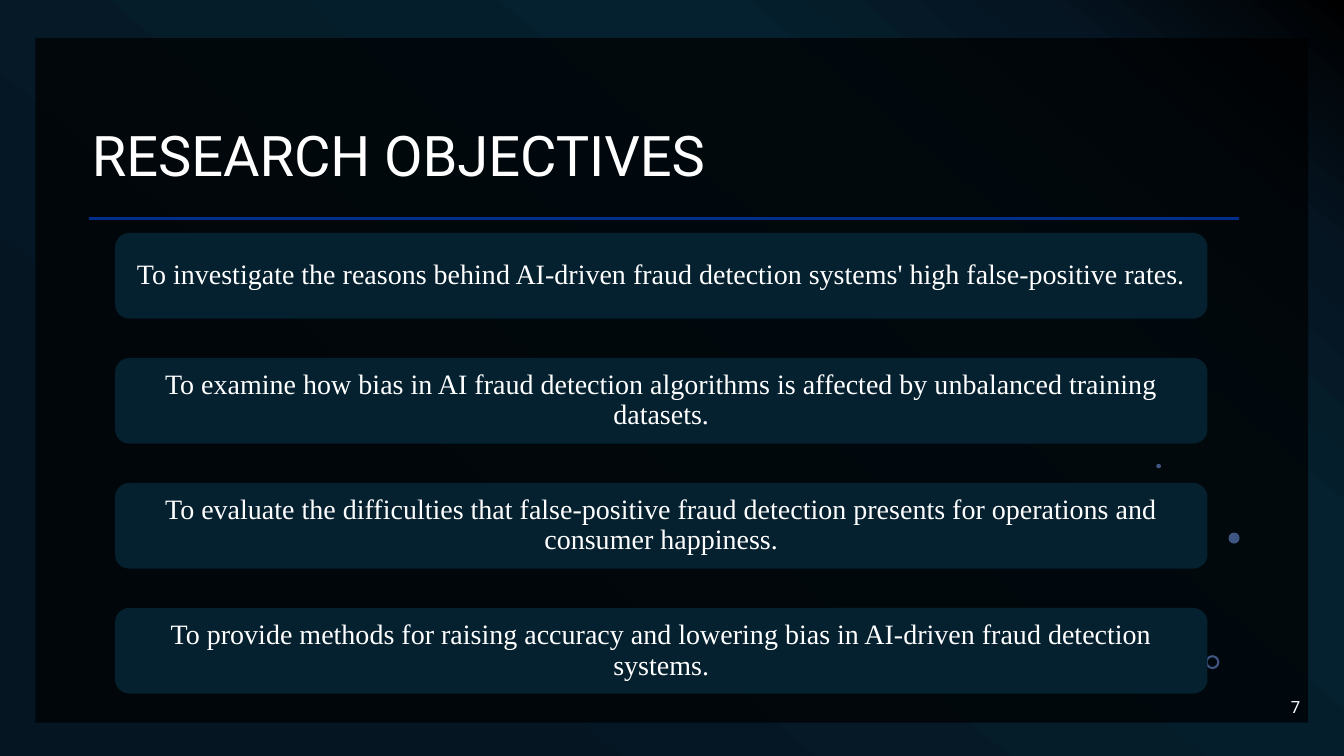
from lxml.etree import SubElement
from pptx import Presentation
from pptx.dml.color import RGBColor
from pptx.enum.shapes import MSO_CONNECTOR, MSO_SHAPE
from pptx.enum.text import MSO_ANCHOR, MSO_AUTO_SIZE, PP_ALIGN
from pptx.oxml.ns import qn
from pptx.util import Cm, Pt

OBJECTIVES = [
    "To investigate the reasons behind AI-driven fraud detection systems' high false-positive rates.",
    "To examine how bias in AI fraud detection algorithms is affected by unbalanced training datasets.",
    "To evaluate the difficulties that false-positive fraud detection presents for operations and consumer happiness.",
    "To provide methods for raising accuracy and lowering bias in AI-driven fraud detection systems.",
]
BACKDROP = [(0, "000000"), (14, "051522"), (29, "05202E"), (81, "051522"), (100, "051522")]
CARD_TOP, CARD_STEP = 5.87, 3.15


def rgb(value):
    return RGBColor.from_string(value)


class SlideBuilder:
    heading_font = "Roboto"
    body_font = "Times New Roman"
    text_color = "FFFFFF"
    card_color = "05202E"
    rule_color = "002E8A"
    dot_color = "83A7FD"

    def __init__(self, prs):
        self.slide = prs.slides.add_slide(prs.slide_layouts[5])
        self.shapes = self.slide.shapes

    def background(self, stops, angle):
        """Fill the slide with a linear gradient; angle runs clockwise."""
        fill = self.slide.background.fill
        fill.gradient()
        fill.gradient_angle = 360 - angle
        stop_list = next(self.slide.element.iter(qn("a:gsLst")))
        for old in list(stop_list):
            stop_list.remove(old)
        for position, color in stops:
            gs = SubElement(stop_list, qn("a:gs"), pos=str(position * 1000))
            SubElement(gs, qn("a:srgbClr"), val=color)

    def set_text(self, sp, text, font, size, align, anchor, spacing=None):
        tf = sp.text_frame
        tf.text = text
        tf.word_wrap = True
        tf.auto_size = MSO_AUTO_SIZE.NONE
        tf.vertical_anchor = anchor
        p = tf.paragraphs[0]
        p.alignment = align
        p.line_spacing = spacing
        for r in p.runs:
            r.font.name = font
            r.font.size = Pt(size)
            r.font.color.rgb = rgb(self.text_color)

    def shape(self, kind, left, top, width, height, color, opacity=100):
        sp = self.shapes.add_shape(kind, Cm(left), Cm(top), Cm(width), Cm(height))
        sp.shadow.inherit = False
        sp.line.fill.background()
        sp.fill.solid()
        sp.fill.fore_color.rgb = rgb(color)
        if opacity < 100:
            srgb = next(sp.element.spPr.iter(qn("a:srgbClr")))
            SubElement(srgb, qn("a:alpha"), val=str(opacity * 1000))
        return sp

    def rule(self, left, top, right):
        line = self.shapes.add_connector(MSO_CONNECTOR.STRAIGHT, Cm(left), Cm(top), Cm(right), Cm(top))
        line.line.color.rgb = rgb(self.rule_color)
        line.line.width = Pt(2)
        SubElement(line.element.spPr, qn("a:effectLst"))

    def dot(self, left, top, width, height, kind=MSO_SHAPE.OVAL):
        return self.shape(kind, left, top, width, height, self.dot_color, 49)

    def title(self, text, left, top, width, height):
        sp = self.shapes.title
        sp.left, sp.top, sp.width, sp.height = Cm(left), Cm(top), Cm(width), Cm(height)
        self.set_text(sp, text, self.heading_font, 40, PP_ALIGN.LEFT, MSO_ANCHOR.BOTTOM, 0.9)

    def page_number(self, text, left, top, width, height):
        sp = self.shapes.add_textbox(Cm(left), Cm(top), Cm(width), Cm(height))
        self.set_text(sp, text, self.heading_font, 12, PP_ALIGN.RIGHT, MSO_ANCHOR.MIDDLE)

    def card(self, text, top):
        sp = self.shape(MSO_SHAPE.ROUNDED_RECTANGLE, 2.9, top, 27.53, 2.16, self.card_color)
        self.set_text(sp, text, self.body_font, 20, PP_ALIGN.CENTER, MSO_ANCHOR.MIDDLE, 0.9)
        tf = sp.text_frame
        tf.margin_left = tf.margin_right = Cm(0.36)
        tf.margin_top = tf.margin_bottom = Cm(0.2)


def main():
    prs = Presentation()
    prs.slide_width, prs.slide_height = Cm(33.87), Cm(19.05)
    s = SlideBuilder(prs)
    s.background(BACKDROP, 130)
    s.shape(MSO_SHAPE.RECTANGLE, 0.89, 0.96, 32.08, 17.25, "000000", 70)
    s.rule(2.24, 5.5, 31.23)
    ring = s.dot(30.38, 16.51, 0.35, 0.35, MSO_SHAPE.DONUT)
    ring.adjustments[0] = 0.15
    s.dot(30.96, 13.42, 0.28, 0.28)
    s.dot(29.14, 11.69, 0.12, 0.11)
    s.title("RESEARCH OBJECTIVES", 2.06, 1.19, 29.16, 3.68)
    s.page_number("7", 25.4, 17.3, 7.62, 1.02)
    for i, objective in enumerate(OBJECTIVES):
        s.card(objective, CARD_TOP + i * CARD_STEP)
    # The title placeholder comes first in the tree, so lift it above the panel.
    title = s.shapes.title.element
    title.getparent().append(title)
    prs.save("out.pptx")


if __name__ == "__main__":
    main()
